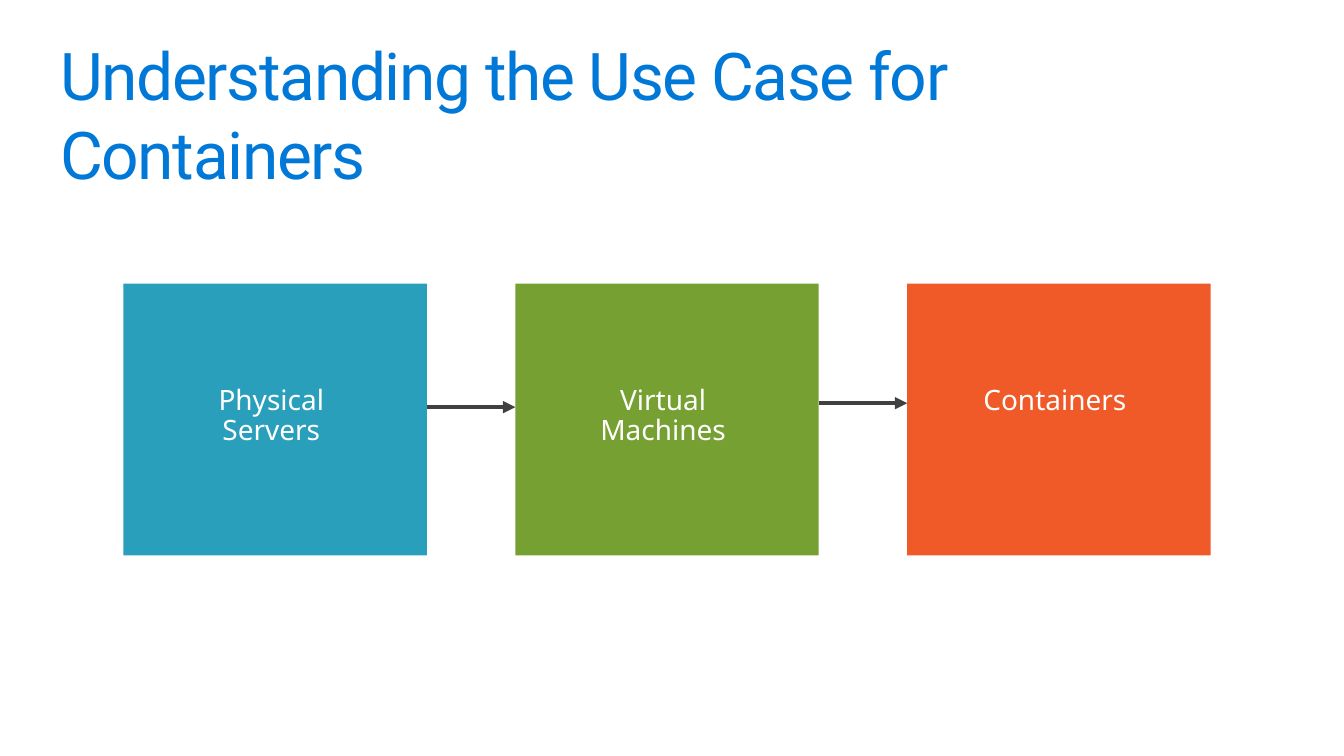
from pptx import Presentation
from pptx.dml.color import RGBColor
from pptx.enum.shapes import MSO_CONNECTOR, MSO_SHAPE
from pptx.enum.text import MSO_ANCHOR, MSO_AUTO_SIZE, PP_ALIGN
from pptx.oxml.ns import qn
from pptx.util import Inches, Pt
from lxml.etree import SubElement

BLUE = RGBColor(0x00, 0x78, 0xD7)
TEAL = RGBColor(0x2A, 0x9F, 0xBC)
GREEN = RGBColor(0x77, 0xA0, 0x32)
ORANGE = RGBColor(0xF0, 0x5A, 0x28)
GRAY = RGBColor(0x40, 0x40, 0x40)
WHITE = RGBColor(0xFF, 0xFF, 0xFF)

STAGES = [("Physical Servers", TEAL), ("Virtual Machines", GREEN), ("Containers", ORANGE)]
ARROW_OFFSETS = [1.25, 1.21]  # below the top of the cards
CARD_WIDTH, CARD_PITCH = 3.07, 3.965


def set_margins(frame, left=0, top=0, right=0, bottom=0):
    frame.margin_left, frame.margin_top = Inches(left), Inches(top)
    frame.margin_right, frame.margin_bottom = Inches(right), Inches(bottom)


def style_text(para, font_name, size, color):
    for span in para.runs:
        span.font.name = font_name
        span.font.size = Pt(size)
        span.font.color.rgb = color


def add_title(page, left, top, width, height):
    title = page.shapes.title
    title.left, title.top = Inches(left), Inches(top)
    title.width, title.height = Inches(width), Inches(height)
    frame = title.text_frame
    frame.text = "Understanding the Use Case for Containers"
    frame.word_wrap = True
    frame.auto_size = MSO_AUTO_SIZE.NONE
    frame.vertical_anchor = MSO_ANCHOR.TOP
    set_margins(frame)
    para = frame.paragraphs[0]
    para.alignment = PP_ALIGN.LEFT
    para.line_spacing = Pt(57.6)
    style_text(para, "Roboto", 48, BLUE)
    # Slightly tightened letters
    for span in para.runs:
        span.font._element.set("spc", "-100")


def add_card(page, label, color, left, top, width, height):
    card = page.shapes.add_shape(
        MSO_SHAPE.RECTANGLE, Inches(left), Inches(top), Inches(width), Inches(height))
    card.shadow.inherit = False
    card.fill.solid()
    card.fill.fore_color.rgb = color
    card.line.fill.background()
    frame = card.text_frame
    frame.text = label
    frame.word_wrap = True
    frame.vertical_anchor = MSO_ANCHOR.TOP
    set_margins(frame, left=0.7, top=1.04, right=0.78)
    para = frame.paragraphs[0]
    para.alignment = PP_ALIGN.CENTER
    para.line_spacing = 0.9
    style_text(para, "Noto Sans", 20.4, WHITE)


def add_arrow(page, start, end, y):
    arrow = page.shapes.add_connector(
        MSO_CONNECTOR.STRAIGHT, Inches(start), Inches(y), Inches(end), Inches(y))
    arrow.line.color.rgb = GRAY
    arrow.line.width = Pt(3)
    SubElement(arrow.line._get_or_add_ln(), qn("a:tailEnd"), type="triangle")
    SubElement(arrow._element.spPr, qn("a:effectLst"))


def add_stages(page, left, top, height):
    # Cards at equal steps
    for index, (label, color) in enumerate(STAGES):
        add_card(page, label, color, left + index * CARD_PITCH, top, CARD_WIDTH, height)
    # Arrows across the gaps
    for index, offset in enumerate(ARROW_OFFSETS):
        card_left = left + index * CARD_PITCH
        add_arrow(page, card_left + CARD_WIDTH, card_left + CARD_PITCH, top + offset)


def main():
    deck = Presentation()
    deck.slide_width, deck.slide_height = Inches(13.6), Inches(7.65)
    page = deck.slides.add_slide(deck.slide_layouts[5])
    add_title(page, 0.61, 0.35, 11.64, 1.6)
    add_stages(page, 1.25, 2.87, 2.75)
    deck.save("out.pptx")


if __name__ == "__main__":
    main()
